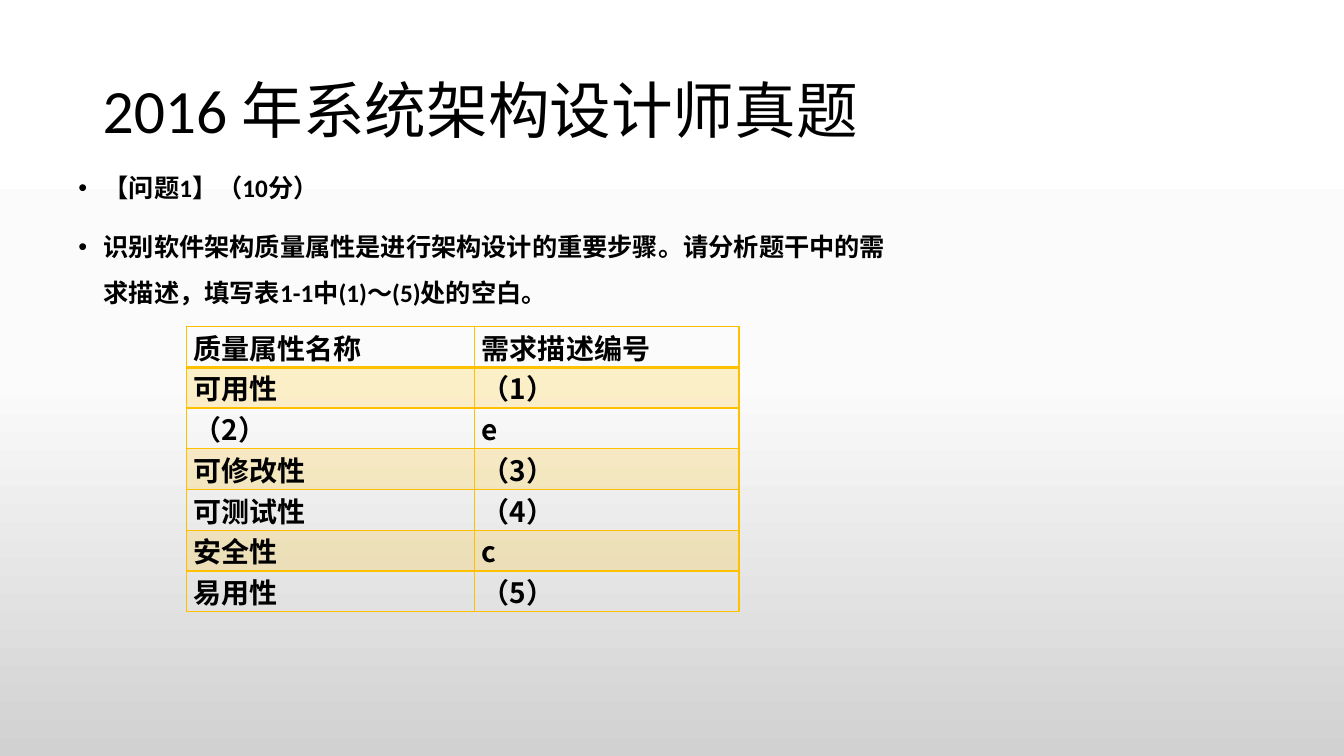
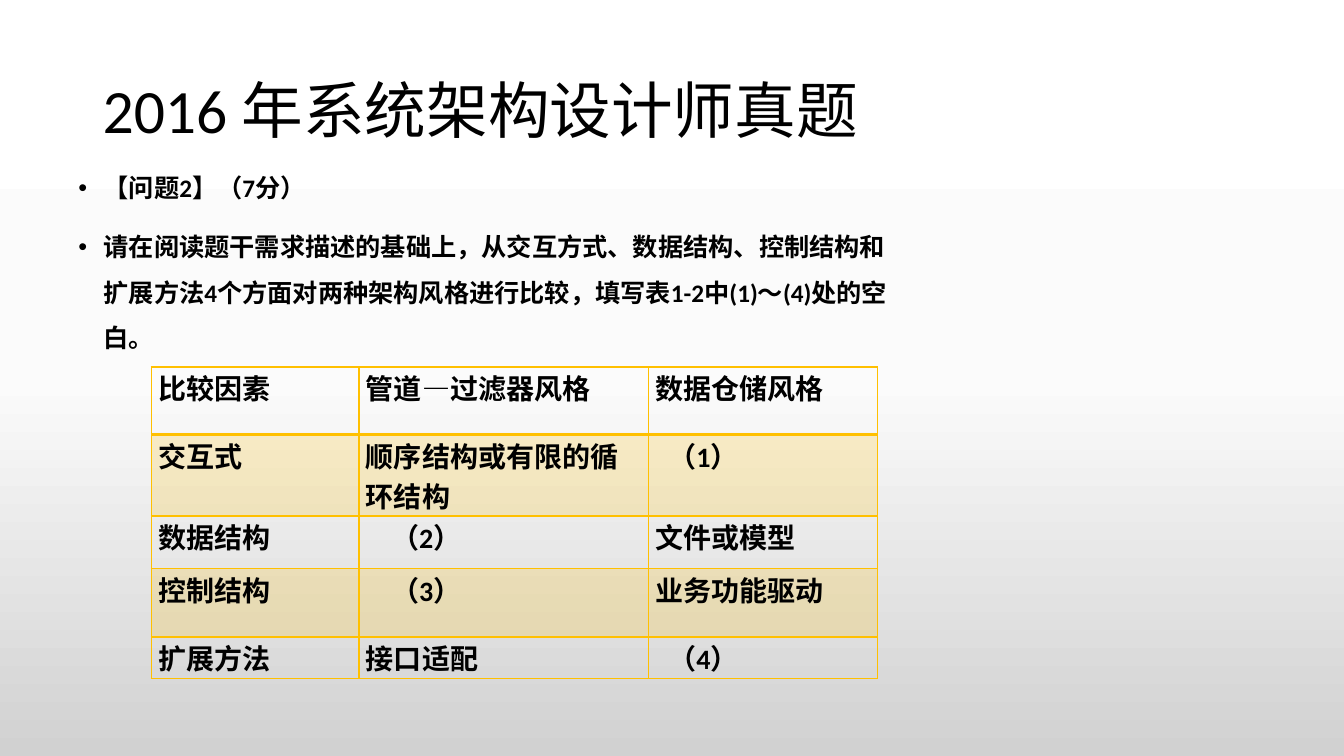
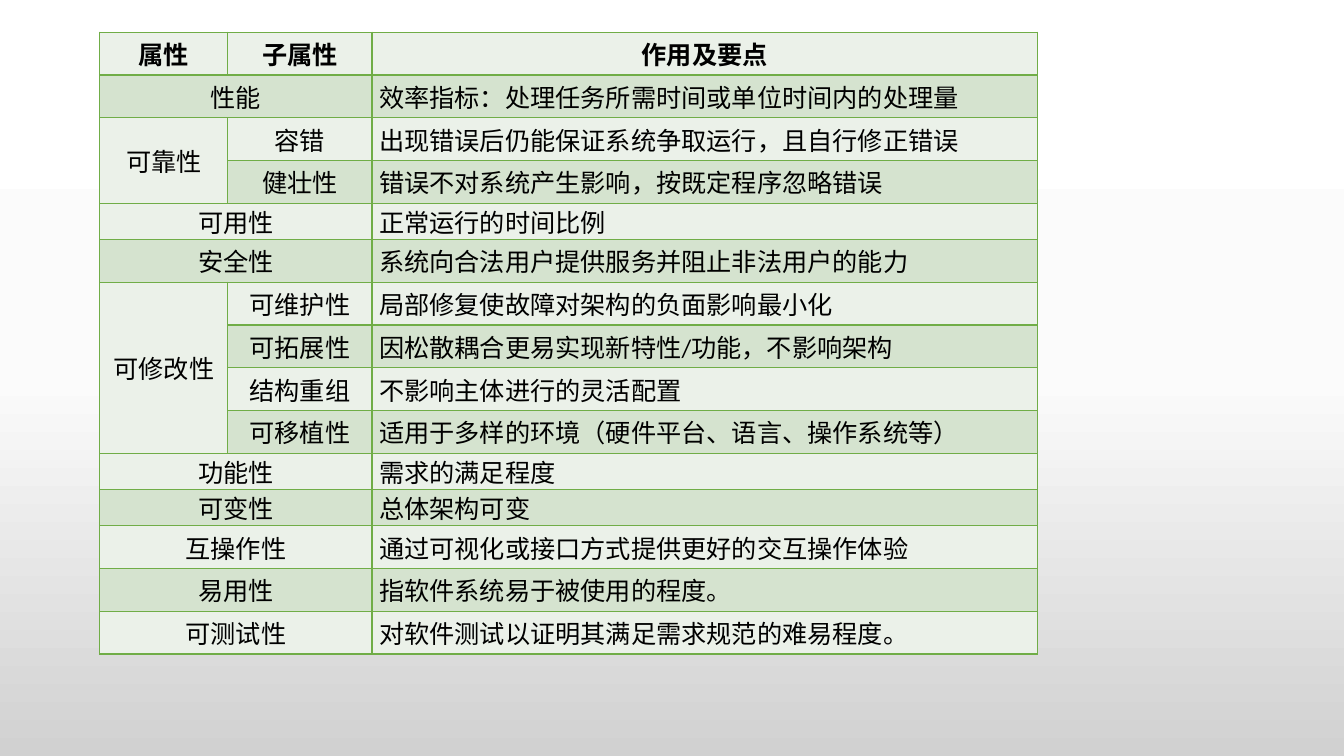
from copy import deepcopy

from lxml import etree
from pptx import Presentation
from pptx.dml.color import RGBColor
from pptx.enum import text
from pptx.oxml.ns import qn
from pptx.util import Inches, Pt

COLORS = {"text": "000000", "gold": "FFC000", "green": "70AD47",
          "light": "EBF1E9", "band": "D5E3CF"}
BACKGROUND = [(0, "FFFFFF"), (0.5, "FBFBFB"), (1, "D1D1D1")]
LATIN, CJK = "Calibri", "Noto Sans CJK SC"
TITLE = "2016 年系统架构设计师真题"

QUESTIONS = [
    {
        "body": ["【问题1】（10分）",
                 "识别软件架构质量属性是进行架构设计的重要步骤。请分析题干中的需求描述，填写表1-1中(1)～(5)处的空白。"],
        "rows": [("质量属性名称", "需求描述编号"),
                 ("可用性", "（1）"),
                 ("（2）", "e"),
                 ("可修改性", "（3）"),
                 ("可测试性", "（4）"),
                 ("安全性", "c"),
                 ("易用性", "（5）")],
        "at": (1.85, 3.24), "cols": [2.86, 2.62], "heights": [2.83 / 7] * 7,
        "font": CJK, "indents": {},
    },
    {
        "body": ["【问题2】（7分）",
                 "请在阅读题干需求描述的基础上，从交互方式、数据结构、控制结构和扩展方法4个方面对两种架构风格进行比较，填写表1-2中(1)～(4)处的空白。"],
        "rows": [("比较因素", "管道—过滤器风格", "数据仓储风格"),
                 ("交互式", "顺序结构或有限的循环结构", "（1）"),
                 ("数据结构", "（2）", "文件或模型"),
                 ("控制结构", "（3）", "业务功能驱动"),
                 ("扩展方法", "接口适配", "（4）")],
        "at": (1.5, 3.64), "cols": [2.06, 2.87, 2.27],
        "heights": [0.67, 0.81, 0.52, 0.68, 0.41],
        "font": LATIN,
        "indents": {"（1）": 0.13, "（2）": 0.25, "（3）": 0.25, "（4）": 0.13},
    },
]

# An empty attribute continues the one above; an empty sub-attribute joins its left neighbour.
ATTRIBUTES = [
    ("属性", "子属性", "作用及要点"),
    ("性能", "", "效率指标：处理任务所需时间或单位时间内的处理量"),
    ("可靠性", "容错", "出现错误后仍能保证系统争取运行，且自行修正错误"),
    ("", "健壮性", "错误不对系统产生影响，按既定程序忽略错误"),
    ("可用性", "", "正常运行的时间比例"),
    ("安全性", "", "系统向合法用户提供服务并阻止非法用户的能力"),
    ("可修改性", "可维护性", "局部修复使故障对架构的负面影响最小化"),
    ("", "可拓展性", "因松散耦合更易实现新特性/功能，不影响架构"),
    ("", "结构重组", "不影响主体进行的灵活配置"),
    ("", "可移植性", "适用于多样的环境（硬件平台、语言、操作系统等）"),
    ("功能性", "", "需求的满足程度"),
    ("可变性", "", "总体架构可变"),
    ("互操作性", "", "通过可视化或接口方式提供更好的交互操作体验"),
    ("易用性", "", "指软件系统易于被使用的程度。"),
    ("可测试性", "", "对软件测试以证明其满足需求规范的难易程度。"),
]
ATTRIBUTE_COLS = [1.27, 1.43, 6.6]
ATTRIBUTE_HEIGHT = 6.17
SHORT_ROWS, SHORT_HEIGHT = ("可用性", "功能性", "可变性"), 0.36


def add_run(p, content, size, bold=False, font=LATIN):
    r = p.add_run()
    r.text = content
    r.font.size = Pt(size)
    r.font.bold = bold
    r.font.name = font
    r.font.color.rgb = RGBColor.from_string(COLORS["text"])
    latin = r.font._element.find(qn("a:latin"))
    ea = etree.Element(qn("a:ea"), typeface=CJK)
    latin.addnext(ea)


def set_background(master):
    fill = master.background.fill
    fill.gradient()
    fill.gradient_angle = 270
    stops = master.element.xpath(".//p:bg//a:gsLst")[0]
    stops.append(deepcopy(stops[0]))
    for stop, (position, color) in zip(fill.gradient_stops, BACKGROUND):
        stop.position = position
        stop.color.rgb = RGBColor.from_string(color)


def add_text_box(slide, left, top, width, height):
    tf = slide.shapes.add_textbox(*map(Inches, (left, top, width, height))).text_frame
    tf.word_wrap = True
    return tf


def add_title(slide):
    tf = add_text_box(slide, 0.92, 0.4, 11.5, 1.45)
    tf.vertical_anchor = text.MSO_ANCHOR.MIDDLE
    p = tf.paragraphs[0]
    p.line_spacing = 0.9
    add_run(p, TITLE, 44)


def add_body(slide, paragraphs):
    tf = add_text_box(slide, 0.68, 1.51, 8.37, 4.93)
    for i, content in enumerate(paragraphs):
        p = tf.add_paragraph() if i else tf.paragraphs[0]
        p.line_spacing = 1.5
        p.space_before = Pt(10)
        pPr = p._p.get_or_add_pPr()
        pPr.set("marL", str(Inches(0.25)))
        pPr.set("indent", str(-Inches(0.25)))
        etree.SubElement(pPr, qn("a:buFont"), typeface="Arial")
        etree.SubElement(pPr, qn("a:buChar"), char="•")
        add_run(p, content, 18, bold=True)


def set_borders(cell, color, top=1, bottom=1):
    tcPr = cell._tc.get_or_add_tcPr()
    widths = {"a:lnL": 1, "a:lnR": 1, "a:lnT": top, "a:lnB": bottom}
    for i, (tag, width) in enumerate(widths.items()):
        ln = etree.Element(qn(tag), w=str(Pt(width)))
        fill = etree.SubElement(ln, qn("a:solidFill"))
        etree.SubElement(fill, qn("a:srgbClr"), val=color)
        tcPr.insert(i, ln)


def set_fill(cell, color, opacity=100):
    cell.fill.solid()
    cell.fill.fore_color.rgb = RGBColor.from_string(color)
    if opacity < 100:
        clr = cell._tc.tcPr.find(qn("a:solidFill"))[0]
        etree.SubElement(clr, qn("a:alpha"), val=str(opacity * 1000))


def add_table(slide, left, top, cols, heights):
    """Add an unstyled table with tight cell margins."""
    table = slide.shapes.add_table(
        len(heights), len(cols), Inches(left), Inches(top),
        Inches(sum(cols)), Inches(sum(heights))).table
    table.first_row = table.horz_banding = False
    for col, width in zip(table.columns, cols):
        col.width = Inches(width)
    for row, height in zip(table.rows, heights):
        row.height = Inches(height)
    for cell in table.iter_cells():
        cell.margin_left = cell.margin_right = Inches(0.07)
        cell.margin_top = cell.margin_bottom = 0
    return table


def add_question_table(slide, question):
    table = add_table(slide, *question["at"], question["cols"], question["heights"])
    for i, row in enumerate(question["rows"]):
        for j, content in enumerate(row):
            cell = table.cell(i, j)
            cell.margin_left = Inches(0.07 + question["indents"].get(content, 0))
            if i % 2:
                set_fill(cell, COLORS["gold"], 20)
            else:
                cell.fill.background()
            set_borders(cell, COLORS["gold"],
                        top=2 if i == 1 else 1, bottom=2 if i == 0 else 1)
            add_run(cell.text_frame.paragraphs[0], content, 20, True, question["font"])


def add_attribute_table(slide):
    short = [row[0] in SHORT_ROWS for row in ATTRIBUTES]
    tall = (ATTRIBUTE_HEIGHT - SHORT_HEIGHT * sum(short)) / short.count(False)
    heights = [SHORT_HEIGHT if s else tall for s in short]
    table = add_table(slide, 0.99, 0.32, ATTRIBUTE_COLS, heights)

    group_start = 0
    for i, (attribute, sub, _) in enumerate(ATTRIBUTES):
        if attribute:
            group_start = i
        if not sub:
            table.cell(i, 0).merge(table.cell(i, 1))
        last = i + 1 == len(ATTRIBUTES) or ATTRIBUTES[i + 1][0]
        if last and group_start < i:
            table.cell(group_start, 0).merge(table.cell(i, 0))

    for i, row in enumerate(ATTRIBUTES):
        for j, content in enumerate(row):
            cell = table.cell(i, j)
            set_fill(cell, COLORS["band" if i % 2 else "light"])
            set_borders(cell, COLORS["green"])
            cell.vertical_anchor = text.MSO_ANCHOR.MIDDLE
            if content:
                p = cell.text_frame.paragraphs[0]
                if i == 0 or j < 2:
                    p.alignment = text.PP_ALIGN.CENTER
                add_run(p, content, 18, bold=i == 0)


def main():
    prs = Presentation()
    prs.slide_width, prs.slide_height = Inches(13.33), Inches(7.5)
    set_background(prs.slide_master)
    blank = prs.slide_layouts[6]
    for question in QUESTIONS:
        slide = prs.slides.add_slide(blank)
        add_title(slide)
        add_body(slide, question["body"])
        add_question_table(slide, question)
    add_attribute_table(prs.slides.add_slide(blank))
    prs.save("out.pptx")


if __name__ == "__main__":
    main()
